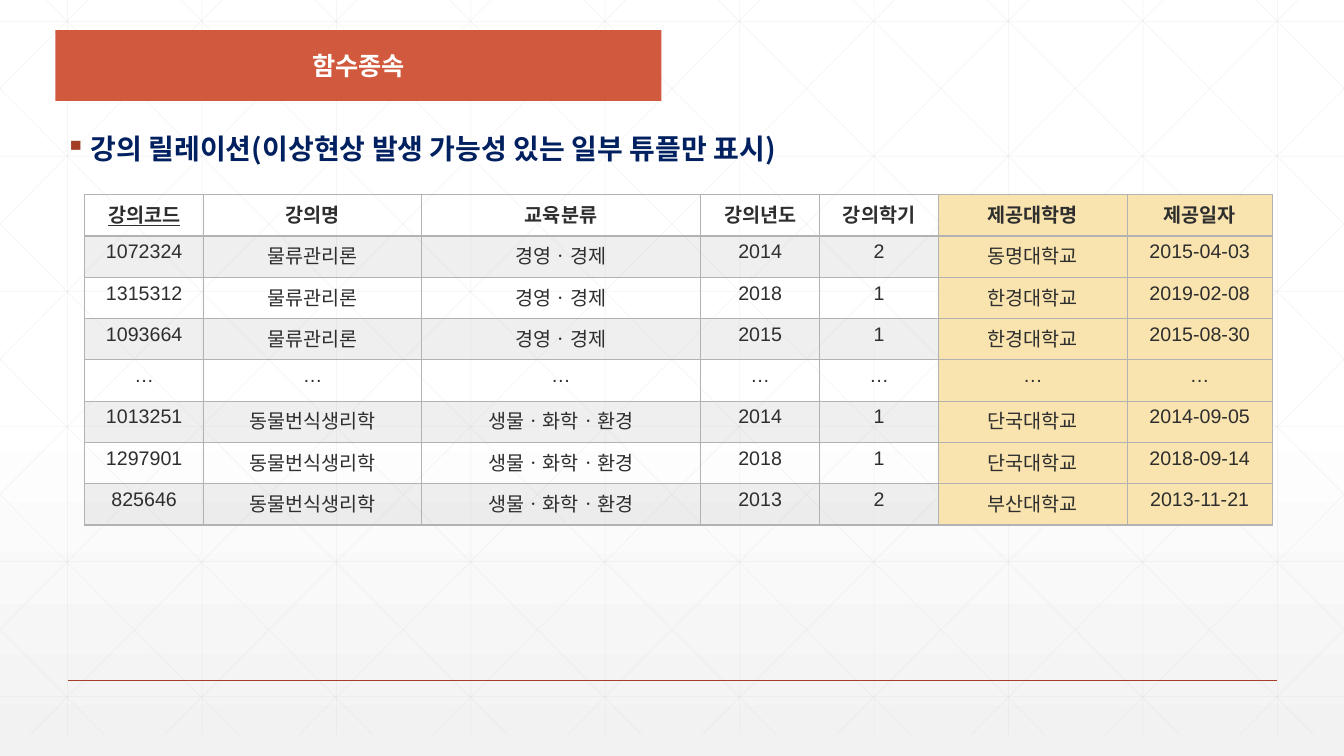
from lxml import etree
from pptx import Presentation
from pptx.dml.color import RGBColor
from pptx.enum.shapes import MSO_CONNECTOR
from pptx.enum.text import MSO_ANCHOR, PP_ALIGN
from pptx.oxml.ns import qn
from pptx.util import Inches, Pt

COLORS = {
    "white": "FFFFFF",
    "haze": "F2F2F2",
    "grid": "D9D9D9",
    "rust": "A43F27",
    "banner": "D15A3E",
    "navy": "002060",
    "ink": "2D2E2D",
    "gray": "B2B2B2",
    "sand": "F9E3AE",
}
HANGUL_FONT = "Noto Sans CJK KR"
WIDTH, HEIGHT = 13.33, 7.5
GRID_TOP, GRID_BOTTOM = -0.21, 7.29
GRID_STEP = 4 / 3

COLUMN_WIDTHS = [1.18, 2.16, 2.77, 1.18, 1.18, 1.87, 1.44]
ROW_HEIGHT = 0.41
FIRST_PROVIDER_COLUMN = 5
LECTURES = [
    ["강의코드", "강의명", "교육분류", "강의년도", "강의학기", "제공대학명", "제공일자"],
    ["1072324", "물류관리론", "경영ㆍ경제", "2014", "2", "동명대학교", "2015-04-03"],
    ["1315312", "물류관리론", "경영ㆍ경제", "2018", "1", "한경대학교", "2019-02-08"],
    ["1093664", "물류관리론", "경영ㆍ경제", "2015", "1", "한경대학교", "2015-08-30"],
    ["…"] * 7,
    ["1013251", "동물번식생리학", "생물ㆍ화학ㆍ환경", "2014", "1", "단국대학교", "2014-09-05"],
    ["1297901", "동물번식생리학", "생물ㆍ화학ㆍ환경", "2018", "1", "단국대학교", "2018-09-14"],
    ["825646", "동물번식생리학", "생물ㆍ화학ㆍ환경", "2013", "2", "부산대학교", "2013-11-21"],
]


def rgb(name):
    return RGBColor.from_string(COLORS[name])


def add_alpha(element, percent):
    color = next(element.iter(qn("a:srgbClr")))
    etree.SubElement(color, qn("a:alpha"), val=str(percent * 1000))


def style_font(para, size, color, bold=False, name=HANGUL_FONT):
    font = para.font
    font.name, font.size, font.bold = name, Pt(size), bold
    font.color.rgb = rgb(color)
    latin = next(para._p.iter(qn("a:latin")))
    latin.addnext(latin.makeelement(qn("a:ea"), typeface=HANGUL_FONT))


def paint_background(page):
    fill = page.background.fill
    fill.gradient()
    fill.gradient_angle = 270
    for stop, name, position in zip(fill.gradient_stops, ("white", "haze"), (0.53, 1)):
        stop.color.rgb = rgb(name)
        stop.position = position


def add_line(page, start, end, color, weight, alpha=None):
    line = page.shapes.add_connector(
        MSO_CONNECTOR.STRAIGHT, *[Inches(value) for value in (*start, *end)])
    line.line.color.rgb = rgb(color)
    line.line.width = Pt(weight)
    properties = line._element.spPr
    if alpha:
        add_alpha(properties, alpha)
    etree.SubElement(properties, qn("a:effectLst"))


def add_grid_line(page, start, end):
    add_line(page, start, end, "grid", 0.5, alpha=25)


def add_grid(page):
    for index in range(10):
        x = 0.67 + index * GRID_STEP
        add_grid_line(page, (x, GRID_TOP), (x, GRID_BOTTOM))
    for index in range(6):
        y = 0.21 + index * 1.34
        add_grid_line(page, (0, y), (WIDTH, y))
    run = 7.45
    slope = (GRID_BOTTOM - GRID_TOP) / run
    for index in range(-5, 10):
        origin = 0.25 + index * GRID_STEP
        left, right = max(origin, 0), min(origin + run, WIDTH)
        top, bottom = [GRID_TOP + (x - origin) * slope for x in (left, right)]
        add_grid_line(page, (left, top), (right, bottom))
        add_grid_line(page, (WIDTH - left, top), (WIDTH - right, bottom))


def add_title(page, text):
    title = page.shapes.title
    page.shapes._spTree.append(title._element)
    title.left, title.top = Inches(0.55), Inches(0.3)
    title.width, title.height = Inches(6.01), Inches(0.7)
    title.fill.solid()
    title.fill.fore_color.rgb = rgb("banner")
    frame = title.text_frame
    frame.text = text
    frame.vertical_anchor = MSO_ANCHOR.MIDDLE
    para = frame.paragraphs[0]
    para.alignment = PP_ALIGN.CENTER
    style_font(para, 18, "white", bold=True)


def add_bullet_heading(page, text):
    box = page.shapes.add_textbox(Inches(0.55), Inches(1.29), Inches(12.09), Inches(0.41))
    frame = box.text_frame
    frame.word_wrap = True
    para = frame.paragraphs[0]
    para.text = text
    para.line_spacing = 0.9
    properties = para._p.get_or_add_pPr()
    properties.set("marL", str(Inches(0.25)))
    properties.set("indent", str(Inches(-0.25)))
    bullet_color = etree.SubElement(properties, qn("a:buClr"))
    etree.SubElement(bullet_color, qn("a:srgbClr"), val=COLORS["rust"])
    etree.SubElement(properties, qn("a:buChar"), char="▪")
    style_font(para, 20, "navy", bold=True)


def set_borders(cell, weights):
    properties = cell._tc.get_or_add_tcPr()
    for index, (side, weight) in enumerate(weights.items()):
        border = properties.makeelement(qn(f"a:ln{side}"), w=str(Pt(weight)))
        fill = etree.SubElement(border, qn("a:solidFill"))
        etree.SubElement(fill, qn("a:srgbClr"), val=COLORS["gray"])
        properties.insert(index, border)


def fill_cell(cell, row, column):
    if column >= FIRST_PROVIDER_COLUMN:
        cell.fill.solid()
        cell.fill.fore_color.rgb = rgb("sand")
    elif row % 2:
        cell.fill.solid()
        cell.fill.fore_color.rgb = rgb("gray")
        add_alpha(cell._tc.tcPr, 20)
    else:
        cell.fill.background()


def add_lecture_table(page):
    table = page.shapes.add_table(
        len(LECTURES), len(COLUMN_WIDTHS), Inches(0.84), Inches(1.93),
        Inches(sum(COLUMN_WIDTHS)), Inches(ROW_HEIGHT * len(LECTURES))).table
    table.first_row = table.horz_banding = False
    for column, width in zip(table.columns, COLUMN_WIDTHS):
        column.width = Inches(width)
    for row, values in enumerate(LECTURES):
        table.rows[row].height = Inches(ROW_HEIGHT)
        for column, value in enumerate(values):
            cell = table.cell(row, column)
            cell.text = value
            para = cell.text_frame.paragraphs[0]
            para.alignment = PP_ALIGN.CENTER
            style_font(para, 14, "ink", bold=row == 0, name="Arial")
            fill_cell(cell, row, column)
            set_borders(cell, {"L": 1, "R": 1, "T": 2 if row == 1 else 1,
                               "B": 2 if row == 0 else 1})
    table.cell(0, 0).text_frame.paragraphs[0].font.underline = True


def main():
    deck = Presentation()
    deck.slide_width, deck.slide_height = Inches(WIDTH), Inches(HEIGHT)
    page = deck.slides.add_slide(deck.slide_layouts[5])
    paint_background(page)
    add_grid(page)
    add_line(page, (0.67, 6.75), (12.67, 6.75), "rust", 1)
    add_lecture_table(page)
    add_title(page, "함수종속")
    add_bullet_heading(page, "강의 릴레이션(이상현상 발생 가능성 있는 일부 튜플만 표시)")
    deck.save("out.pptx")


if __name__ == "__main__":
    main()
